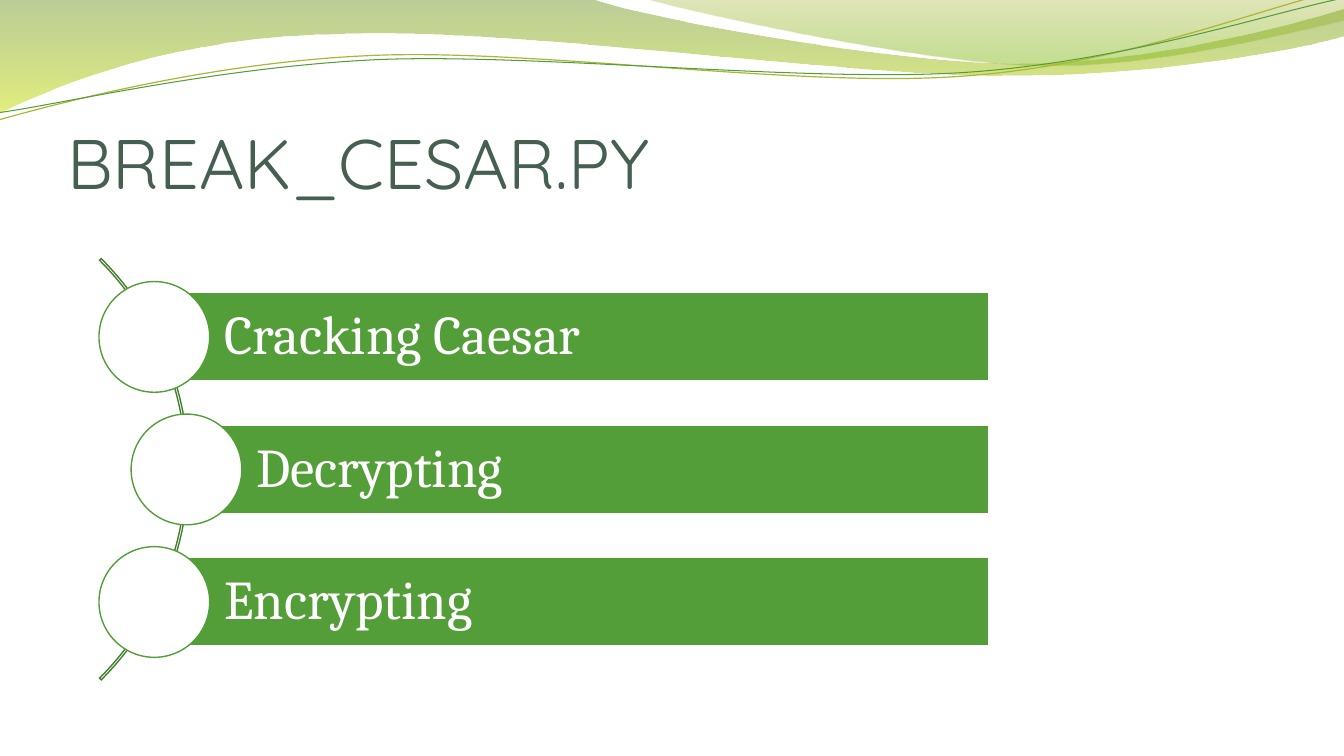
from pptx import Presentation
from pptx.dml.color import RGBColor
from pptx.enum.shapes import MSO_SHAPE as Preset
from pptx.enum.text import MSO_ANCHOR as Anchor, PP_ALIGN as Align
from pptx.oxml.ns import qn
from pptx.util import Cm, Pt
from lxml.etree import SubElement

GREEN, DARK_GREEN, WHITE, SLATE = "549E39", "437F2E", "FFFFFF", "455F51"
BAR_RIGHT, BAR_HEIGHT, CIRCLE = 24.92, 2.23, 2.79
FIRST_CENTER, ROW_STEP = 8.49, 3.34
TOPICS = [("Cracking Caesar", 3.89), ("Decrypting", 4.7), ("Encrypting", 3.89)]

WAVES = [
    ([("69921C", 0, 45), ("CCE10F", 1, 55)],
     [(0, 0), (14.91, -0.03), (16.1, 0.43, 22.45, 1.6, 25.68, 1.6),
      (28.88, 1.6, 32.44, 0.66, 33.86, 0.23), (33.88, 0.91),
      (33.3, 1.12, 29.44, 1.93, 25.25, 1.91), (21.06, 1.91, 12.93, 0.71, 8.71, 0.86),
      (4.37, 0.91, 1.55, 2.11, -0.05, 2.87)]),
    ([("9BAA1A", 0, 30), ("81BA16", 0.8, 45)],
     [(16.21, -0.03), (17.25, 0.28, 23.09, 1.57, 26.04, 1.65),
      (28.96, 1.75, 32.56, 0.81, 33.86, 0.53), (33.86, 0)]),
]
STRANDS = [
    ("A9B733", 0.85,
     [(-0.03, 3.02), (1.6, 2.57, 5.33, 1.57, 9.37, 1.4),
      (13.39, 1.22, 20.04, 2.21, 24.1, 1.93), (28.19, 1.68, 31.78, 0.2, 33.78, -0.25)]),
    (GREEN, 0.75,
     [(-0.03, 2.84), (1.57, 2.62, 5.54, 1.68, 9.58, 1.5),
      (13.64, 1.35, 20.22, 2.08, 24.26, 1.83), (28.3, 1.57, 31.88, 0.36, 33.86, -0.05)]),
]


def color(value):
    """Turn a hex string into a colour."""
    return RGBColor.from_string(value)


def write(shape, text, font, size, ink, anchor, insets, spacing=1.0):
    """Put formatted text into a shape, with insets in left, top, right, bottom order."""
    frame = shape.text_frame
    frame.word_wrap = True
    frame.vertical_anchor = anchor
    frame.margin_left, frame.margin_top, frame.margin_right, frame.margin_bottom = map(Cm, insets)
    paragraph = frame.paragraphs[0]
    paragraph.alignment = Align.LEFT
    paragraph.line_spacing = spacing
    run = paragraph.add_run()
    run.text = text
    run.font.name, run.font.size, run.font.color.rgb = font, Pt(size), color(ink)


def bend(shape, segments):
    """Turn each run of three line steps that stands for a Bezier segment into one curve."""
    steps = iter(list(shape._element.spPr.iter(qn("a:lnTo"))))
    for segment in segments:
        first, *others = [next(steps) for _ in range(len(segment) // 2)]
        if others:
            first.tag = qn("a:cubicBezTo")
            for step in others:
                first.append(step[0])
                step.getparent().remove(step)


class SlideBuilder:
    """Draw styled elements on the current slide."""

    def __init__(self, slide):
        """Keep the slide and the fonts."""
        self.slide = slide
        self.title_font, self.body_font = "Quicksand", "Cambria"

    def paint(self, shape, fill=None, line=None, width=1):
        """Set the fill and outline of a shape and drop its shadow."""
        shape.shadow.inherit = False
        if fill:
            shape.fill.solid()
            shape.fill.fore_color.rgb = color(fill)
        else:
            shape.fill.background()
        if line:
            shape.line.color.rgb = color(line)
            shape.line.width = Pt(width)
        else:
            shape.line.fill.background()
        return shape

    def preset(self, kind, left, top, width, height, **style):
        """Add a preset shape."""
        shape = self.slide.shapes.add_shape(kind, Cm(left), Cm(top), Cm(width), Cm(height))
        return self.paint(shape, **style)

    def outline(self, segments, close, **style):
        """Add a freeform of straight (2 numbers) and Bezier (6 numbers) segments."""
        (left, top), *segments = segments
        points = [(Cm(x), Cm(y)) for segment in segments
                  for x, y in zip(segment[::2], segment[1::2])]
        builder = self.slide.shapes.build_freeform(Cm(left), Cm(top))
        builder.add_line_segments(points, close=False)
        shape = builder.convert_to_shape()
        bend(shape, segments)
        if close:
            SubElement(next(shape._element.spPr.iter(qn("a:path"))), qn("a:close"))
        return self.paint(shape, **style)

    def wave(self, stops, segments):
        """Add a closed band with a translucent vertical gradient."""
        shape = self.outline(segments, True)
        shape.fill.gradient()
        shape.fill.gradient_angle = 270
        for stop, (tint, position, _) in zip(shape.fill.gradient_stops, stops):
            stop.color.rgb, stop.position = color(tint), position
        tints = shape._element.spPr.iter(qn("a:srgbClr"))
        for element, (_, _, opacity) in zip(tints, stops):
            SubElement(element, qn("a:alpha"), val=str(opacity * 1000))

    def title(self, text):
        """Add the slide title."""
        box = self.slide.shapes.add_textbox(Cm(1.7), Cm(1.96), Cm(30.48), Cm(3.18))
        write(box, text, font=self.title_font, size=50, ink=SLATE,
              anchor=Anchor.BOTTOM, insets=(0, 0.13, 0, 0))

    def arc(self, left, top, size):
        """Add the thin arc that joins the circles."""
        shape = self.preset(Preset.BLOCK_ARC, left, top, size, size, line=DARK_GREEN)
        for index, value in enumerate((189, 27, 0.004)):
            shape.adjustments[index] = value
        SubElement(shape._element.spPr.find(qn("a:ln")), qn("a:miter"), lim="800000")

    def topic(self, text, left, center):
        """Add a labelled bar with a circle on its left end."""
        bar = self.preset(Preset.RECTANGLE, left, center - BAR_HEIGHT / 2,
                          BAR_RIGHT - left, BAR_HEIGHT, fill=GREEN, line=WHITE)
        write(bar, text, font=self.body_font, size=39, ink=WHITE, anchor=Anchor.MIDDLE,
              insets=(1.77, 0.28, 0.28, 0.28), spacing=0.9)
        self.preset(Preset.OVAL, left - CIRCLE / 2, center - CIRCLE / 2, CIRCLE, CIRCLE,
                    fill=WHITE, line=GREEN)


presentation = Presentation()
presentation.slide_width, presentation.slide_height = Cm(33.87), Cm(19.05)
builder = SlideBuilder(presentation.slides.add_slide(presentation.slide_layouts[6]))
for stops, segments in WAVES:
    builder.wave(stops, segments)
for tint, width, segments in STRANDS:
    builder.outline(segments, False, line=tint, width=width)
builder.title("BREAK_CESAR.PY")
builder.arc(-10.26, 4.32, 15.01)
for row, (text, left) in enumerate(TOPICS):
    builder.topic(text, left, FIRST_CENTER + row * ROW_STEP)
presentation.save("out.pptx")
